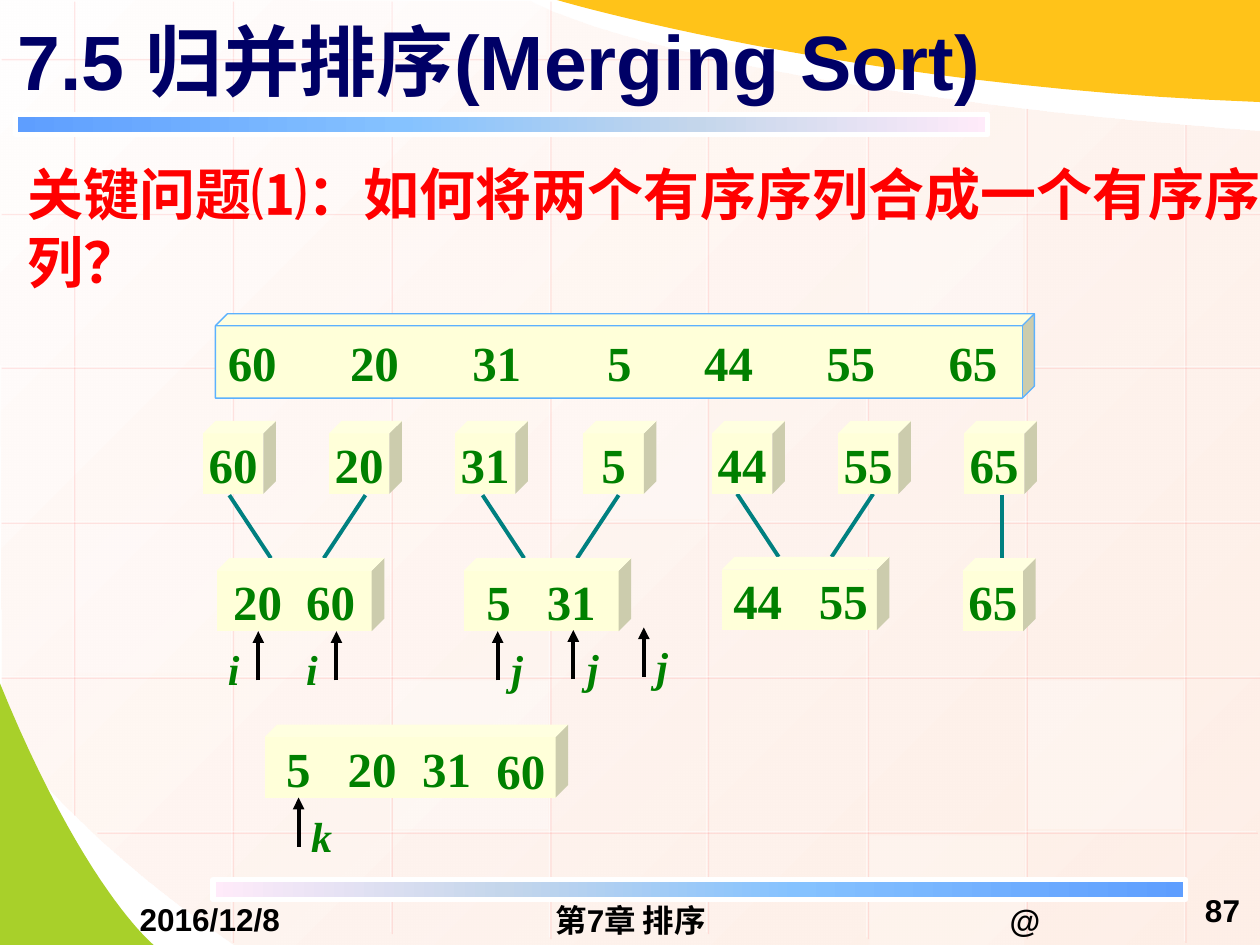
from lxml import etree
from pptx import Presentation
from pptx.dml.color import RGBColor
from pptx.enum.shapes import MSO_CONNECTOR, MSO_SHAPE
from pptx.enum.text import MSO_ANCHOR, PP_ALIGN
from pptx.oxml import parse_xml
from pptx.oxml.ns import nsdecls, qn
from pptx.util import Inches, Pt

GREEN, CREAM, WHITE, BLACK = "008000", "FFFFD9", "FFFFFF", "000000"
SERIF, SANS, CJK = "Times New Roman", "Arial", "Noto Sans CJK SC"
color = RGBColor.from_string

deck = Presentation()
deck.slide_width, deck.slide_height = Inches(10), Inches(7.5)
page = deck.slides.add_slide(deck.slide_layouts[6])
shapes = page.shapes


def write(box, words, size, ink, font=SERIF, align=PP_ALIGN.LEFT, inset=(0.1, 0.05),
          anchor=MSO_ANCHOR.MIDDLE, tabs=(), wrap=True, italic=False):
    frame = box.text_frame
    frame.word_wrap = wrap
    frame.vertical_anchor = anchor
    frame.margin_left = Inches(inset[0])
    frame.margin_right = Inches(0 if tabs else inset[0])
    frame.margin_top = frame.margin_bottom = Inches(inset[1])
    para = frame.paragraphs[0]
    para.alignment = align
    if tabs:
        tab_list = etree.SubElement(para._p.get_or_add_pPr(), qn("a:tabLst"))
        for stop in tabs:
            etree.SubElement(tab_list, qn("a:tab"), pos=str(Inches(stop)), algn="l")
    para.font.size, para.font.bold, para.font.italic = Pt(size), True, italic
    para.font.color.rgb = color(ink)
    para.font.name = font
    etree.SubElement(para.font._element, qn("a:ea"), typeface=CJK)
    para.add_run().text = words
    return para


def add_line(x1, y1, x2, y2, ink, width):
    line = shapes.add_connector(MSO_CONNECTOR.STRAIGHT, Inches(x1), Inches(y1),
                                Inches(x2), Inches(y2))
    line.line.color.rgb = color(ink)
    line.line.width = Pt(width)
    etree.SubElement(line._element.spPr, qn("a:effectLst"))
    return line


# Background areas: each segment is one corner, or two handles and an end point
areas = [
    ("FFFEFE", (10.01, 1.04), [
        [(10.01, 4.27), (10.01, 7.49), (10.01, 7.49)], [(1.87, 7.5)],
        [(0.55, 6.6), (0.01, 5.8), (0.02, 5.8)], [(-0.01, -0.01)], [(4.21, 0.01)],
        [(4.21, 0.01), (5.37, 0.69), (10.01, 1.04)]]),
    ("A8D02A", (-0.01, 5.4), [
        [(-0.01, 7.5)], [(1.22, 7.5)], [(1.22, 7.5), (0.66, 7.05), (-0.01, 5.4)]]),
    ("FFC319", (10, 0.81), [
        [(10, 0)], [(4.42, 0)], [(4.42, 0), (6.74, 0.69), (10, 0.81)]]),
]
backdrops = []
for fill, start, segments in areas:
    points = [start]
    for segment in segments:
        if len(segment) == 1:
            points += segment
            continue
        curve = [points[-1], *segment]
        for step in range(1, 25):
            t = step / 24
            weights = [(1 - t) ** 3, 3 * t * (1 - t) ** 2, 3 * t * t * (1 - t), t ** 3]
            points.append(tuple(sum(w * p[axis] for w, p in zip(weights, curve))
                                for axis in (0, 1)))
    points = [(Inches(x), Inches(y)) for x, y in points]
    builder = shapes.build_freeform(*points[0])
    builder.add_line_segments(points[1:], close=True)
    area = builder.convert_to_shape()
    area.shadow.inherit = False
    area.fill.solid()
    area.fill.fore_color.rgb = color(fill)
    area.line.fill.background()
    backdrops.append(area)

# Background grid: translucent white lines with a pink shadow
columns = [(0.58, 0, 6.46), (1.84, 0, 7.47), (3.1, 0, 7.4), (4.36, 0, 7.44),
           (5.61, 0.43, 7.4), (6.88, 0.68, 7.44), (8.14, 0.85, 7.44), (9.4, 0.98, 7.47)]
rows = [(0.46, 0, 5.68), (1.69, 0, 10), (2.91, 0, 10), (4.14, 0, 10), (5.37, 0, 10),
        (6.6, 0.76, 9.97)]
grid = [(x, top, x, bottom) for x, top, bottom in columns]
grid += [(right, y, left, y) for y, left, right in rows]
for ends in grid:
    properties = add_line(*ends, WHITE, 0.75)._element.spPr
    etree.SubElement(properties.find(".//" + qn("a:srgbClr")), qn("a:alpha"), val="50000")
    properties.find(qn("a:effectLst")).append(parse_xml(
        f'<a:outerShdw {nsdecls("a")} blurRad="0" dist="{Pt(1.4)}" dir="2700000">'
        '<a:srgbClr val="FF7575"><a:alpha val="33000"/></a:srgbClr></a:outerShdw>'))

# Translucent grid cells
for x, y, height, opacity in [
        (4.38, 2.94, 1.18, 25), (8.16, 5.4, 1.18, 30), (0.6, 4.16, 1.18, 20),
        (6.9, 6.63, 0.87, 20), (3.11, 0, 0.44, 40), (3.12, 5.4, 1.18, 30),
        (6.89, 1.71, 1.18, 30)]:
    cell = shapes.add_shape(MSO_SHAPE.RECTANGLE, Inches(x), Inches(y), Inches(1.23), Inches(height))
    cell.shadow.inherit = False
    cell.fill.solid()
    cell.fill.fore_color.rgb = color(WHITE)
    cell.line.fill.background()
    etree.SubElement(cell._element.spPr.find(".//" + qn("a:srgbClr")), qn("a:alpha"),
                     val=str(opacity * 1000))

# Rules below the title and above the footer
rules = []
for x, y, turn in [(0.12, 0.91, 0), (1.69, 6.98, 180)]:
    rule = shapes.add_shape(MSO_SHAPE.RECTANGLE, Inches(x), Inches(y), Inches(7.72), Inches(0.16))
    rule.shadow.inherit = False
    rule.rotation = turn
    rule.fill.solid()
    rule.line.color.rgb = color(WHITE)
    rule.line.width = Pt(3)
    rules.append(rule)

# Gradients of the backdrop and the rules
blue_stops = [(0, "5E9EFF", 100), (40, "85C2FF", 100), (70, "C4D6EB", 100), (100, "FFEBFA", 100)]
peach_stops = [(0, "FFFEFE", 100), (100, "FEE9DE", 70)]
for shape, stops, angle in [(backdrops[0], peach_stops, 45),
                            *((rule, blue_stops, 0) for rule in rules)]:
    stop_xml = "".join(
        f'<a:gs pos="{at * 1000}"><a:srgbClr val="{ink}"><a:alpha val="{alpha * 1000}"/>'
        "</a:srgbClr></a:gs>" for at, ink, alpha in stops)
    properties = shape._element.spPr
    properties.replace(properties.find(qn("a:solidFill")), parse_xml(
        f'<a:gradFill {nsdecls("a")} rotWithShape="1"><a:gsLst>{stop_xml}</a:gsLst>'
        f'<a:lin ang="{angle * 60000}" scaled="0"/></a:gradFill>'))

# Title and key question
title = shapes.add_textbox(Inches(0.04), Inches(-0.03), Inches(9), Inches(1.01))
write(title, "7.5 归并排序(Merging Sort)", 44, "000066", SANS)
question = shapes.add_textbox(Inches(0.12), Inches(1.22), Inches(10), Inches(1.18))
para = write(question, "关键问题⑴：", 32, "FF0000", CJK, anchor=MSO_ANCHOR.TOP)
span = para.add_run()
span.text = "如何将两个有序序列合成一个有序序列？"
span.font.name = SANS

# Footer
for words, x, y, width, height, align in [
        ("2016/12/8", 0.5, 7.14, 2.33, 0.3, PP_ALIGN.CENTER),
        ("第7章 排序", 3.42, 7.15, 3.17, 0.3, PP_ALIGN.CENTER),
        ("@", 6.97, 7.15, 2.33, 0.3, PP_ALIGN.CENTER),
        ("87", 9.28, 6.98, 0.66, 0.49, PP_ALIGN.RIGHT)]:
    box = shapes.add_textbox(Inches(x), Inches(y), Inches(width), Inches(height))
    write(box, words, 18, BLACK, SANS, align, inset=(0.1, 0))

# Branches from single values to sorted pairs
for x, y in [(1.82, 3.93), (3.83, 3.93), (5.85, 3.92)]:
    add_line(x, y, x + 0.33, y + 0.5, "008080", 2.25)
    add_line(x + 1.08, y, x + 0.75, y + 0.5, "008080", 2.25)
add_line(7.95, 3.93, 7.95, 4.43, "008080", 2.25)

# Cubes: words, left, top, width, height, depth, left inset, tab stops
values = ["60", "20", "31", "5", "44", "55", "65"]
lefts = [1.61, 2.61, 3.61, 4.63, 5.65, 6.65, 7.65]
cubes = [(value, x, 3.34, 0.58, 0.58, 0.173, 0.1, ()) for value, x in zip(values, lefts)]
cubes += [
    ("20\t60", 1.72, 4.43, 1.33, 0.58, 0.173, 0.13, [0.58]),
    ("5\t31", 3.68, 4.43, 1.33, 0.58, 0.173, 0.18, [0.48]),
    ("44\t55", 5.73, 4.42, 1.33, 0.58, 0.173, 0.09, [0.68]),
    ("65", 7.64, 4.43, 0.58, 0.58, 0.173, 0.1, ()),
    ("", 2.1, 5.75, 2.41, 0.58, 0.173, 0.1, ()),
    ("\t".join(values), 1.71, 2.49, 6.5, 0.67, 0.143, 0.1, [0.97, 1.94, 3.01, 3.78, 4.75, 5.72]),
]
for words, x, y, width, height, depth, inset, tabs in cubes:
    cube = shapes.add_shape(MSO_SHAPE.CUBE, Inches(x), Inches(y), Inches(width), Inches(height))
    cube.adjustments[0] = depth
    cube.shadow.inherit = False
    cube.fill.solid()
    cube.fill.fore_color.rgb = color(CREAM)
    cube.line.fill.background()
    if words:
        write(cube, words, 28, GREEN, align=PP_ALIGN.LEFT if tabs else PP_ALIGN.CENTER,
              inset=(inset, 0.05), tabs=tabs, wrap=bool(tabs))
cube.line.color.rgb = color("5CB1FE")
cube.line.width = Pt(0.75)

# Merged values
for value, x, y in [("5", 2.27, 5.86), ("20", 2.76, 5.86), ("31", 3.35, 5.86), ("60", 3.94, 5.88)]:
    box = shapes.add_textbox(Inches(x), Inches(y), Inches(0.42), Inches(0.47))
    write(box, value, 28, GREEN, inset=(0, 0), anchor=MSO_ANCHOR.TOP)

# Index pointers
for name, x, y, shift in [("i", 2.05, 5.4, -0.24), ("i", 2.67, 5.4, -0.24), ("j", 3.95, 5.4, 0.11),
                          ("j", 4.55, 5.39, 0.11), ("j", 5.11, 5.37, 0.1), ("k", 2.37, 6.72, 0.1)]:
    arrow = add_line(x, y, x, y - 0.39, BLACK, 2.25)
    etree.SubElement(arrow.line._get_or_add_ln(), qn("a:tailEnd"), type="triangle")
    box = shapes.add_textbox(Inches(x + shift), Inches(y - 0.29), Inches(0.2), Inches(0.4))
    write(box, name, 24, GREEN, inset=(0, 0), anchor=MSO_ANCHOR.TOP, italic=True)

deck.save("out.pptx")
